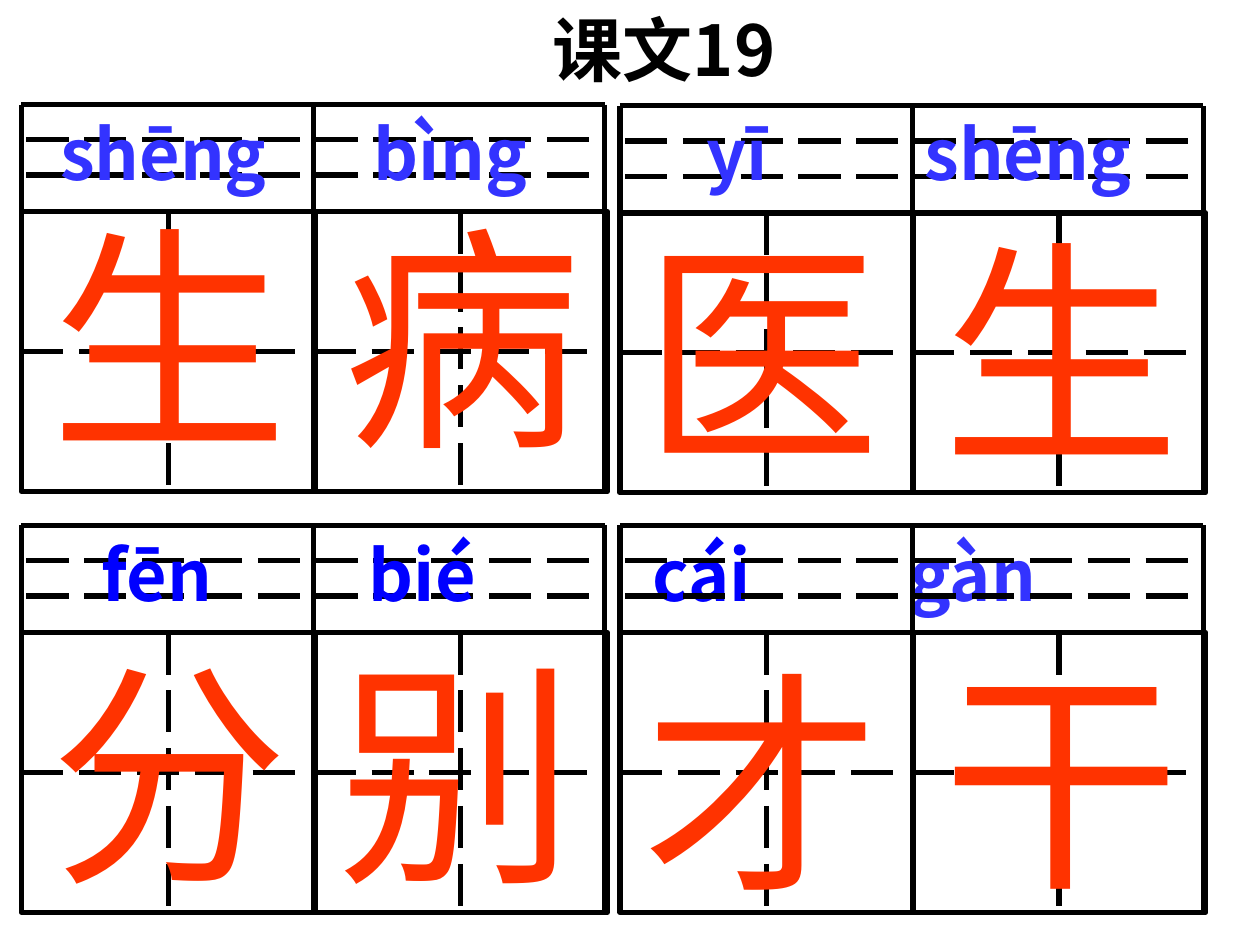
from lxml import etree
from pptx import Presentation
from pptx.dml.color import RGBColor
from pptx.enum import dml, shapes, text
from pptx.oxml import ns
from pptx.util import Inches, Pt

BLACK = RGBColor(0x00, 0x00, 0x00)
RED = RGBColor(0xFF, 0x33, 0x00)
BLUE = RGBColor(0x00, 0x00, 0xFF)
SOFT = RGBColor(0x33, 0x33, 0xFF)
SANS = "Noto Sans CJK SC"
ARIAL = "Arial"


class Page:
    def __init__(self, slide):
        self.slide = slide
        self.pen = Pt(3)

    def line(self, x1, y1, x2, y2, dash=False):
        rule = self.slide.shapes.add_connector(
            shapes.MSO_CONNECTOR.STRAIGHT,
            Inches(x1), Inches(y1), Inches(x2), Inches(y2))
        rule.line.color.rgb = BLACK
        rule.line.width = self.pen
        if dash:
            rule.line.dash_style = dml.MSO_LINE.LONG_DASH
        etree.SubElement(rule._element.spPr, ns.qn("a:effectLst"))
        return rule

    def cell(self, x, y):
        """Square for one character, with its dashed cross."""
        box = self.slide.shapes.add_shape(
            shapes.MSO_SHAPE.RECTANGLE,
            Inches(x), Inches(y), Inches(2.33), Inches(2.22))
        box.shadow.inherit = False
        box.fill.background()
        box.line.color.rgb = BLACK
        box.line.width = self.pen
        post = self.line(x + 1.16, y, x + 1.16, y + 2.22, dash=True)
        post.begin_connect(box, 0)
        post.end_connect(box, 2)
        beam = self.line(x, y + 1.11, x + 2.28, y + 1.11, dash=True)
        beam.begin_connect(box, 1)

    def grid(self, x, y):
        """Two cells under a four-line band for pinyin."""
        mid, end = x + 2.32, x + 4.63
        for left in (x, mid):
            self.cell(left, y + 0.85)
        self.line(x, y, end, y)
        for drop in (0.28, 0.56):
            self.line(x + 0.04, y + drop, end, y + drop, dash=True)
        for side in (x, mid, end):
            self.line(side, y, side, y + 3.07)

    def label(self, x, y, wide, high, words, size, tints,
              font=SANS, bold=False, stops=()):
        box = self.slide.shapes.add_textbox(
            Inches(x), Inches(y), Inches(wide), Inches(high))
        frame = box.text_frame
        frame.word_wrap = True
        frame.auto_size = text.MSO_AUTO_SIZE.SHAPE_TO_FIT_TEXT
        para = frame.paragraphs[0]
        if stops:
            tabs = etree.SubElement(
                para._p.get_or_add_pPr(), ns.qn("a:tabLst"))
            for stop in stops:
                etree.SubElement(tabs, ns.qn("a:tab"),
                                 pos=str(Inches(stop)), algn="l")
        for word, tint in zip(words, tints):
            run = para.add_run()
            run.text = word
            run.font.size = Pt(size)
            run.font.bold = bold
            run.font.color.rgb = tint
            run.font.name = font
            east = etree.SubElement(run._r.get_or_add_rPr(), ns.qn("a:ea"))
            east.set("typeface", font)

    def glyph(self, x, y, sign, font=ARIAL):
        self.label(x, y, 2.28, 2.37, [sign], 136, [RED], font)


def main():
    deck = Presentation()
    deck.slide_width, deck.slide_height = Inches(10), Inches(7.5)
    page = Page(deck.slides.add_slide(deck.slide_layouts[6]))

    # Upper row
    page.grid(0.17, 0.83)
    page.grid(4.92, 0.84)
    page.glyph(2.63, 1.47, "病", SANS)
    page.glyph(0.3, 1.47, "生", SANS)
    page.glyph(5, 1.58, "医")
    page.glyph(7.38, 1.58, "生")
    page.label(0, 0.83, 9.96, 0.77, ["\tshēng\tbìng\tyī\tshēng"], 40, [SOFT],
               bold=True, stops=(0.38, 2.87, 5.51, 7.24))

    # Title
    page.label(4.29, 0, 2.52, 0.77, ["课文19"], 40, [BLACK], bold=True)

    # Lower row
    page.grid(0.17, 4.17)
    page.label(-0.17, 4.17, 9.58, 0.77, ["\tfēn\tbié\tcái", "\tgàn"], 40,
               [BLUE, SOFT], bold=True, stops=(0.88, 3, 5.25, 7.29))
    page.glyph(2.58, 4.92, "别")
    page.glyph(0.3, 4.92, "分")
    page.grid(4.92, 4.17)
    page.glyph(5, 5, "才")
    page.glyph(7.38, 4.97, "干")

    deck.save("out.pptx")


if __name__ == "__main__":
    main()
